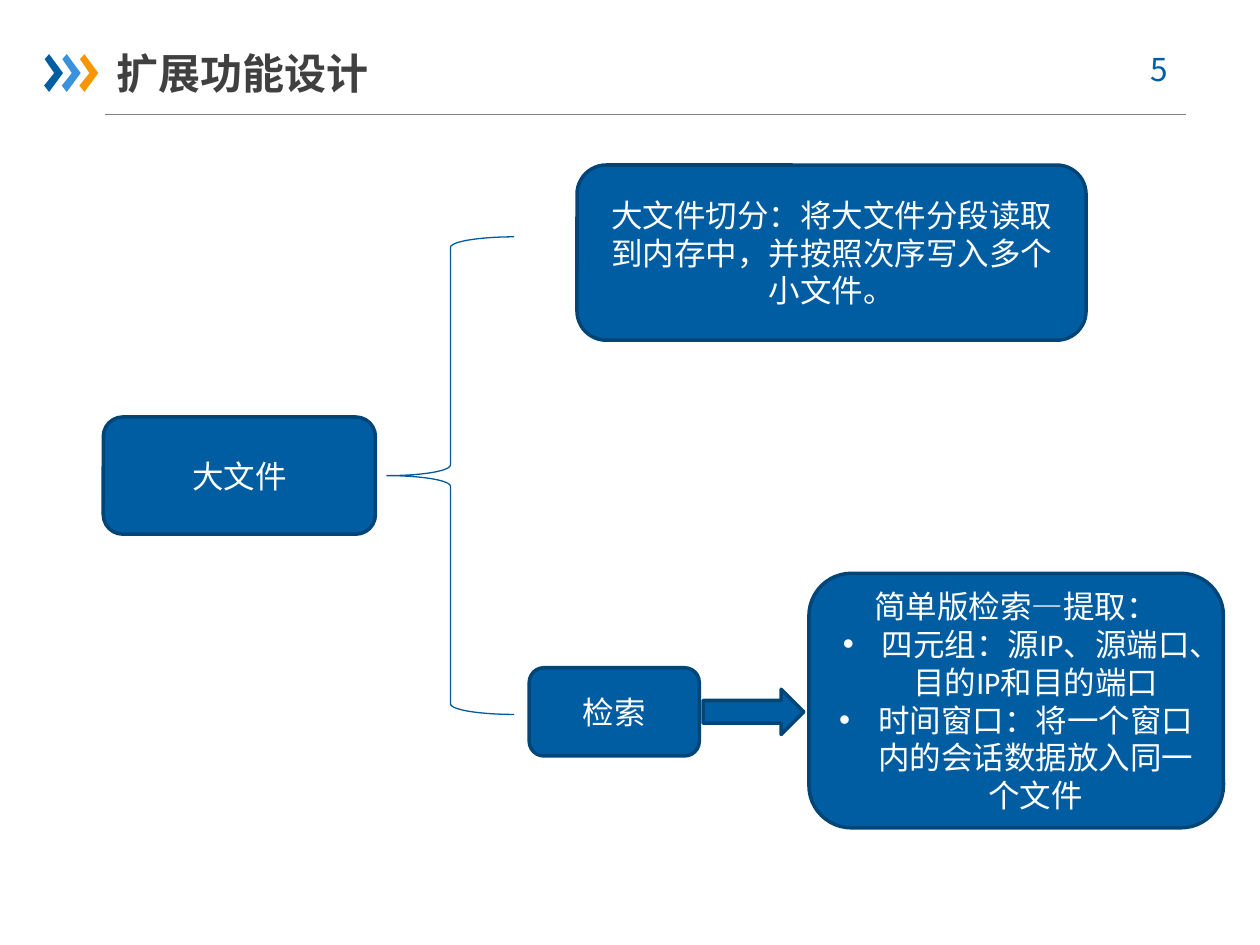
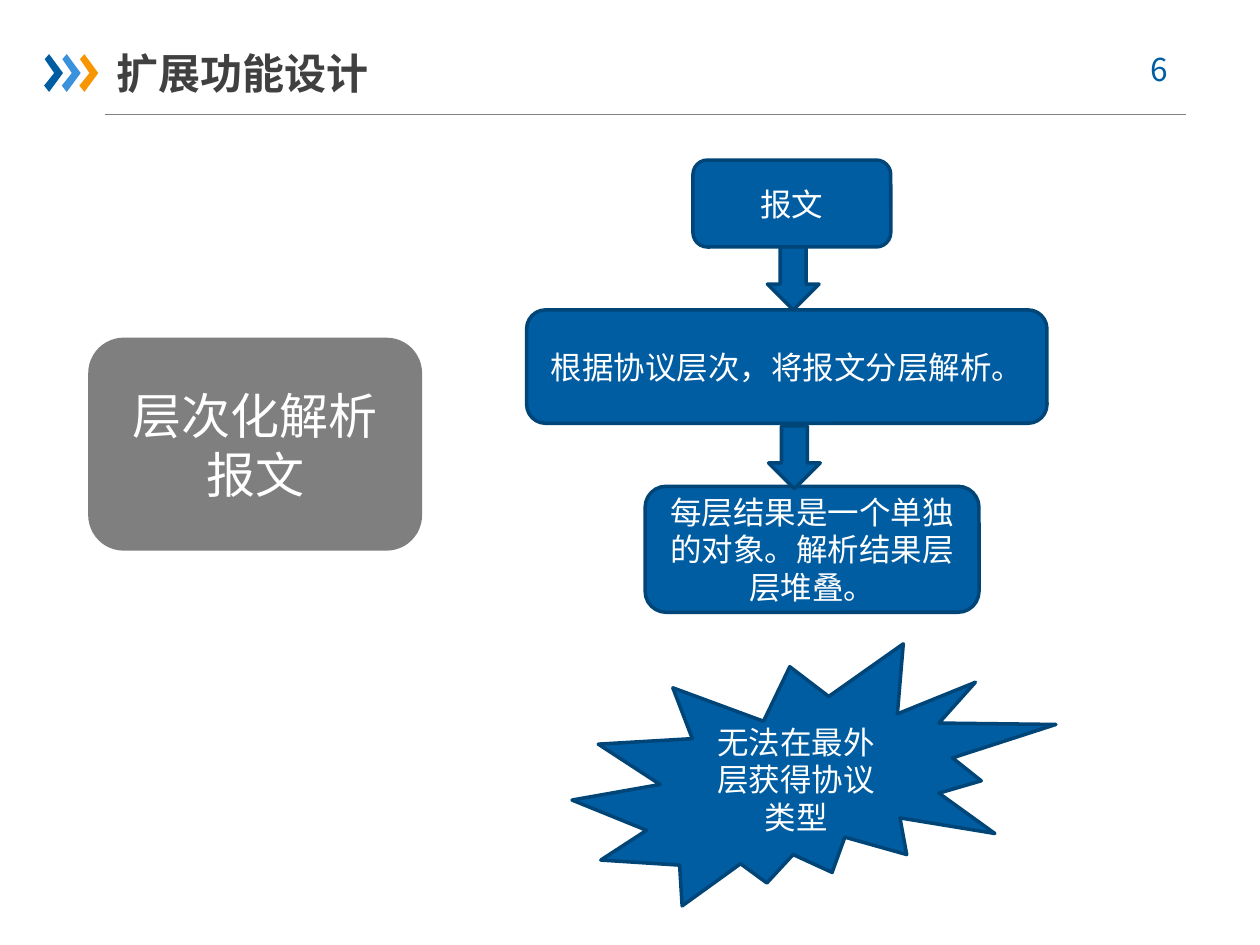
import lxml.etree
import pptx
import pptx.dml.color
import pptx.enum.shapes
import pptx.enum.text
import pptx.oxml.ns
import pptx.util

RGB = pptx.dml.color.RGBColor
SHAPE = pptx.enum.shapes.MSO_SHAPE
ALIGN = pptx.enum.text.PP_ALIGN
ANCHOR = pptx.enum.text.MSO_ANCHOR
AUTO_SIZE = pptx.enum.text.MSO_AUTO_SIZE
qn = pptx.oxml.ns.qn

BLUE = RGB(0x00, 0x5D, 0xA2)
SKY = RGB(0x39, 0x92, 0xDB)
ORANGE = RGB(0xF7, 0x96, 0x00)
NAVY = RGB(0x00, 0x45, 0x78)
BRACE_BLUE = RGB(0x00, 0x5B, 0x9E)
CHARCOAL = RGB(0x40, 0x40, 0x40)
RULE_GREY = RGB(0x80, 0x80, 0x80)
TOPIC_GREY = RGB(0x7F, 0x7F, 0x7F)
WHITE = RGB(0xFF, 0xFF, 0xFF)

LATIN_FONT = "Calibri"
CJK_FONT = "Noto Sans CJK SC"

# The grid has 100 columns and 75 rows of square cells
COLUMNS, ROWS = 100, 75
CELL = pptx.util.Inches(0.1)

CHEVRON = [(3.55, 4.7), (3.9, 4.3), (5, 5.8), (3.9, 7.3), (3.5, 6.8), (4.3, 5.8)]
CHEVRON_STEP = 1.4


def cells(*counts):
    return [round(count * CELL) for count in counts]


class Deck:
    def __init__(self):
        self.presentation = pptx.Presentation()
        self.presentation.slide_width, self.presentation.slide_height = cells(COLUMNS, ROWS)
        self.slide = None

    def new_slide(self, title, number):
        """Start a blank slide with the shared header."""
        self.slide = self.presentation.slides.add_slide(self.presentation.slide_layouts[6])
        self.rule((8.3, 9.1), (94.1, 9.1))
        for index, color in enumerate((BLUE, SKY, ORANGE)):
            self.chevron(index * CHEVRON_STEP, color)
        # The space after the number sets it slightly left of centre
        self.label((88.6, 3.5, 7.3, 4), f"{number} ", 18, BLUE, ALIGN.CENTER)
        self.label((8.3, 3.3, 22.2, 5), title, 24, CHARCOAL, ALIGN.LEFT, bold=True, wrap=False)

    def rule(self, start, end):
        line = self.slide.shapes.add_connector(
            pptx.enum.shapes.MSO_CONNECTOR.STRAIGHT, *cells(*start, *end))
        line.line.color.rgb = RULE_GREY
        line.line.width = pptx.util.Pt(0.75)
        lxml.etree.SubElement(line._element.spPr, qn("a:effectLst"))

    def chevron(self, offset, color):
        points = [cells(x + offset, y) for x, y in CHEVRON]
        outline = self.slide.shapes.build_freeform(*points[0])
        outline.add_line_segments(points[1:], close=True)
        self.paint(outline.convert_to_shape(), color, None)

    def paint(self, shape, fill, edge, width=2):
        shape.shadow.inherit = False
        if fill is None:
            shape.fill.background()
        else:
            shape.fill.solid()
            shape.fill.fore_color.rgb = fill
        if edge is None:
            shape.line.fill.background()
        else:
            shape.line.color.rgb = edge
            shape.line.width = pptx.util.Pt(width)

    def set_text(self, paragraph, text, size, color, align, font=LATIN_FONT, bold=False):
        paragraph.text = text
        paragraph.alignment = align
        paragraph.font.size = pptx.util.Pt(size)
        paragraph.font.name = font
        paragraph.font.bold = bold
        paragraph.font.color.rgb = color
        defaults = paragraph._p.pPr.find(qn("a:defRPr"))
        lxml.etree.SubElement(defaults, qn("a:ea"), typeface=CJK_FONT)

    def bullet(self, paragraph):
        properties = paragraph._p.pPr
        indent = round(3.1 * CELL)
        properties.set("marL", str(indent))
        properties.set("indent", str(-indent))
        for place, (tag, key, value) in enumerate(
                [("a:buFont", "typeface", "Arial"), ("a:buChar", "char", "•")]):
            mark = lxml.etree.Element(qn(tag))
            mark.set(key, value)
            properties.insert(place, mark)

    def label(self, place, text, size, color, align, bold=False, wrap=True):
        frame = self.slide.shapes.add_textbox(*cells(*place)).text_frame
        frame.word_wrap = wrap
        frame.auto_size = AUTO_SIZE.SHAPE_TO_FIT_TEXT
        self.set_text(frame.paragraphs[0], text, size, color, align, CJK_FONT, bold)

    def figure(self, kind, place, fill=BLUE, edge=NAVY, width=2):
        shape = self.slide.shapes.add_shape(kind, *cells(*place))
        self.paint(shape, fill, edge, width)
        return shape

    def box(self, place, text, bullets=(), size=18, kind=SHAPE.ROUNDED_RECTANGLE, **style):
        frame = self.figure(kind, place, **style).text_frame
        frame.word_wrap = True
        frame.vertical_anchor = ANCHOR.MIDDLE
        self.set_text(frame.paragraphs[0], text, size, WHITE, ALIGN.CENTER)
        for item in bullets:
            paragraph = frame.add_paragraph()
            self.set_text(paragraph, item, size, WHITE, ALIGN.CENTER)
            self.bullet(paragraph)


def large_file_slide(deck):
    deck.new_slide("扩展功能设计", 5)
    # Large file, branching into splitting and searching
    deck.box((8.2, 33.1, 21.6, 9.3), "大文件")
    deck.figure(SHAPE.LEFT_BRACE, (30.7, 18.8, 10.1, 37.9), None, BRACE_BLUE, 0.75)
    deck.box((45.8, 13.1, 40.4, 13.9),
             "大文件切分：将大文件分段读取到内存中，并按照次序写入多个小文件。")
    # Search leads to extraction
    deck.box((42, 53, 13.5, 7), "检索")
    deck.box((64.2, 45.5, 32.9, 20.2), "简单版检索—提取：",
             ["四元组：源IP、源端口、目的IP和目的端口",
              "时间窗口：将一个窗口内的会话数据放入同一个文件"])
    deck.figure(SHAPE.RIGHT_ARROW, (55.8, 54.7, 8, 3.6))


def layered_parsing_slide(deck):
    deck.new_slide("扩展功能设计", 6)
    # Topic
    deck.box((7, 26.8, 26.5, 16.9), "层次化解析报文", size=28, fill=TOPIC_GREY, edge=None)
    # Parsing steps
    deck.box((55, 12.7, 15.7, 6.9), "报文")
    deck.box((41.8, 24.6, 41.3, 9), "根据协议层次，将报文分层解析。")
    deck.box((51.2, 38.6, 26.5, 10), "每层结果是一个单独的对象。解析结果层层堆叠。")
    # Limitation
    deck.box((45.4, 51.1, 38.4, 20.8), "无法在最外层获得协议类型", kind=SHAPE.EXPLOSION2)
    # Arrows between the steps
    for column, row in ((60.9, 19.6), (61, 33.8)):
        deck.figure(SHAPE.DOWN_ARROW, (column, row, 4.1, 5))


def main():
    deck = Deck()
    large_file_slide(deck)
    layered_parsing_slide(deck)
    deck.presentation.save("out.pptx")


if __name__ == "__main__":
    main()
